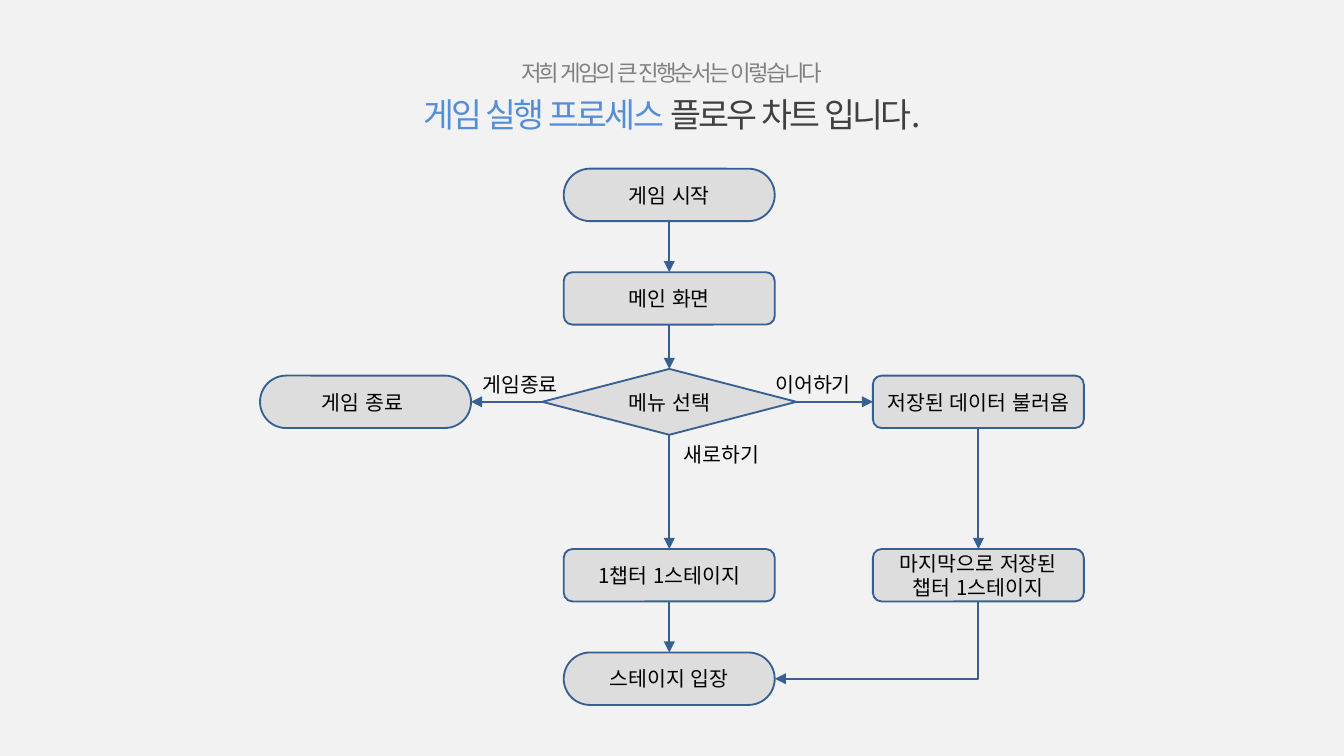
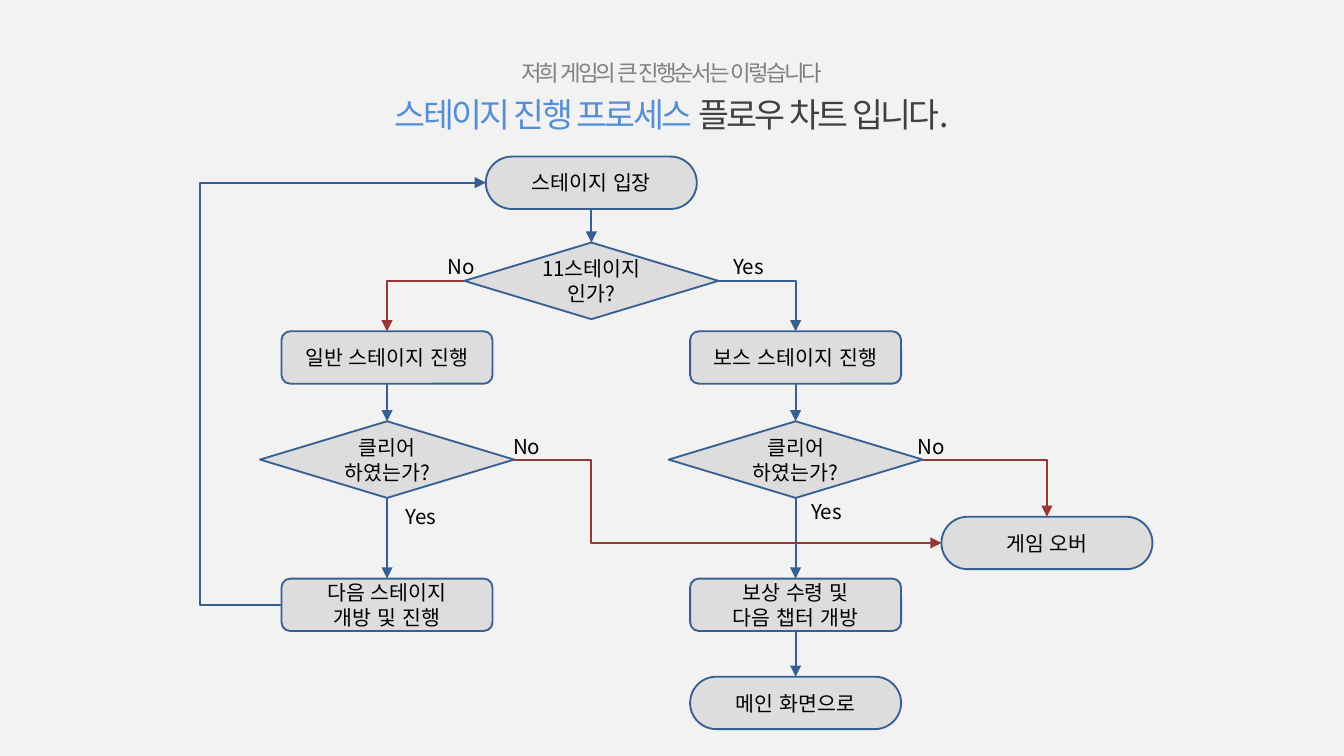
from lxml import etree
from pptx import Presentation
from pptx.dml.color import RGBColor
from pptx.enum.lang import MSO_LANGUAGE_ID
from pptx.enum.shapes import MSO_CONNECTOR, MSO_SHAPE
from pptx.enum.text import MSO_ANCHOR, MSO_AUTO_SIZE, PP_ALIGN
from pptx.oxml.ns import qn
from pptx.util import Inches, Pt

PILL = MSO_SHAPE.ROUNDED_RECTANGLE
STEP = MSO_SHAPE.FLOWCHART_ALTERNATE_PROCESS
TEST = MSO_SHAPE.FLOWCHART_DECISION
LINE = MSO_CONNECTOR.STRAIGHT
ELBOW = MSO_CONNECTOR.ELBOW
CENTER = PP_ALIGN.CENTER
MIDDLE = MSO_ANCHOR.MIDDLE
GROW = MSO_AUTO_SIZE.SHAPE_TO_FIT_TEXT
KOREAN = MSO_LANGUAGE_ID.KOREAN
TOP, LEFT, BOTTOM, RIGHT = range(4)

FONT = "Noto Sans CJK KR"
PAPER, GREY, BLACK = "F2F2F2", "BFBFBF", "000000"
BLUE, RED = "376092", "953735"
SOFT, SKY, DARK = "808080", "558ED5", "404040"


def paint(color, code):
    color.rgb = RGBColor.from_string(code)


def style(para, size, code):
    para.alignment = CENTER
    para.font.size = Pt(size)
    para.font.name = FONT
    para.font.language_id = KOREAN
    paint(para.font.color, code)
    props = para._p.pPr.find(qn("a:defRPr"))
    etree.SubElement(props, qn("a:ea"), typeface=FONT)
    return props


def place(x, y, wide, high):
    return [Inches(n) for n in (x - wide / 2, y - high / 2, wide, high)]


def add_title(slide, topic):
    box = slide.shapes.add_textbox(*place(5, 0.7, 9, 0.94))
    frame = box.text_frame
    frame.word_wrap = True
    frame.vertical_anchor = MIDDLE
    para = frame.paragraphs[0]
    para.line_spacing = 1.2
    style(para, 12, SOFT).set("spc", "-150")
    para.add_run().text = "저희 게임의 큰 진행순서는 이렇습니다"
    para.add_line_break()
    for text, code in ((topic + " ", SKY), ("플로우 차트 입니다.", DARK)):
        run = para.add_run()
        run.text = text
        run.font.size = Pt(18)
        paint(run.font.color, code)


def add_node(slide, kind, x, y, text, wide=1.57, high=0.39):
    node = slide.shapes.add_shape(kind, *place(x, y, wide, high))
    node.shadow.inherit = False
    if kind == PILL:
        node.adjustments[0] = 0.5
    node.fill.solid()
    paint(node.fill.fore_color, GREY)
    tint = node._element.spPr.find(qn("a:solidFill"))[0]
    etree.SubElement(tint, qn("a:alpha"), val="40000")
    paint(node.line.color, BLUE)
    node.line.width = Pt(1)
    frame = node.text_frame
    frame.margin_left = frame.margin_right = 0
    frame.margin_top = frame.margin_bottom = 0
    frame.vertical_anchor = MIDDLE
    frame.text = text
    for para in frame.paragraphs:
        style(para, 11, BLACK)
    return node


def add_test(slide, x, y, text, high=0.57):
    return add_node(slide, TEST, x, y, text, 1.89, high)


def add_label(slide, x, y, text):
    box = slide.shapes.add_textbox(*place(x, y, 1.1, 0.34))
    frame = box.text_frame
    frame.word_wrap = True
    frame.auto_size = GROW
    frame.text = text
    para = frame.paragraphs[0]
    para.line_spacing = 1.5
    style(para, 11, BLACK)


def add_link(slide, start, end, out=BOTTOM, into=TOP, code=BLUE, kind=LINE):
    link = slide.shapes.add_connector(kind, 0, 0, 0, 0)
    link.begin_connect(start, out)
    link.end_connect(end, into)
    paint(link.line.color, code)
    link.line.width = Pt(1)
    props = link._element.spPr
    etree.SubElement(props.find(qn("a:ln")), qn("a:tailEnd"), type="triangle")
    etree.SubElement(props, qn("a:effectLst"))
    return link


def add_bend(slide, start, end, out, into, code=BLUE, turn=None):
    link = add_link(slide, start, end, out, into, code, ELBOW)
    form = link._element.spPr.find(qn("a:prstGeom"))
    if turn is None:
        form.set("prst", "bentConnector2")
    else:
        guides = form.find(qn("a:avLst"))
        value = f"val {round(turn * 100000)}"
        etree.SubElement(guides, qn("a:gd"), name="adj1", fmla=value)
    return link


def rotate(link):
    wide, high = link.width, link.height
    link.left += (wide - high) // 2
    link.top += (high - wide) // 2
    link.width, link.height = high, wide
    frame = link._element.spPr.find(qn("a:xfrm"))
    frame.attrib.pop("flipH", None)
    frame.set("rot", "5400000")


def draw_game(slide):
    add_title(slide, "게임 실행 프로세스")
    mid, side = 4.98, 7.28
    first, gap = 1.45, 0.77
    menu_y = first + 2 * gap
    stage_y, enter_y = 4.28, 4.28 + gap

    start = add_node(slide, PILL, mid, first, "게임 시작")
    home = add_node(slide, STEP, mid, first + gap, "메인 화면")
    menu = add_test(slide, mid, menu_y, "메뉴 선택", 0.49)
    quit_ = add_node(slide, PILL, 2.72, menu_y, "게임 종료 ")
    load = add_node(slide, STEP, side, menu_y, "저장된 데이터 불러옴")
    stage = add_node(slide, STEP, mid, stage_y, "1챕터 1스테이지")
    saved = add_node(slide, STEP, side, stage_y,
                     "마지막으로 저장된\n챕터 1스테이지")
    enter = add_node(slide, PILL, mid, enter_y, "스테이지 입장")

    for a, b in ((start, home), (home, menu), (menu, stage),
                 (stage, enter), (load, saved)):
        add_link(slide, a, b)
    add_link(slide, menu, quit_, LEFT, RIGHT)
    add_link(slide, menu, load, RIGHT, LEFT)
    rotate(add_bend(slide, saved, enter, BOTTOM, RIGHT))

    for x, y, text in ((6.05, 2.8, "이어하기"), (3.87, 2.8, "게임종료"),
                       (5.37, 3.32, "새로하기")):
        add_label(slide, x, y, text)


def draw_stage(slide):
    add_title(slide, "스테이지 진행 프로세스")
    mid, gap = 4.4, 1.52
    west, east = mid - gap, mid + gap
    run_y, clear_y, next_y = 2.66, 3.42, 4.5

    enter = add_node(slide, PILL, mid, 1.36, "스테이지 입장")
    check = add_test(slide, mid, 2.09, "11스테이지\n인가?")
    plain = add_node(slide, STEP, west, run_y, "일반 스테이지 진행")
    boss = add_node(slide, STEP, east, run_y, "보스 스테이지 진행")
    clear, beat = [add_test(slide, x, clear_y, "클리어\n하였는가?")
                   for x in (west, east)]
    again = add_node(slide, STEP, west, next_y, "다음 스테이지\n개방 및 진행")
    prize = add_node(slide, STEP, east, next_y, "보상 수령 및\n다음 챕터 개방")
    home = add_node(slide, PILL, east, 5.23, "메인 화면으로")
    over = add_node(slide, PILL, 7.79, 4.04, "게임 오버")

    for a, b in ((enter, check), (plain, clear), (clear, again),
                 (boss, beat), (beat, prize), (prize, home)):
        add_link(slide, a, b)
    add_bend(slide, check, plain, LEFT, TOP, RED)
    add_bend(slide, check, boss, RIGHT, TOP)
    add_bend(slide, beat, over, RIGHT, TOP, RED)
    add_bend(slide, clear, over, RIGHT, LEFT, RED, 0.18)
    add_bend(slide, again, enter, LEFT, LEFT, BLUE, -0.4)

    for x, y, text in ((5.57, 1.92, "Yes"), (3.43, 1.92, "No"),
                       (6.15, 3.74, "Yes"), (3.13, 3.78, "Yes"),
                       (3.92, 3.26, "No"), (6.93, 3.26, "No")):
        add_label(slide, x, y, text)


def main():
    deck = Presentation()
    deck.slide_width = Inches(10)
    deck.slide_height = Inches(10 * 9 / 16)
    fill = deck.slide_master.background.fill
    fill.solid()
    paint(fill.fore_color, PAPER)
    for draw in (draw_game, draw_stage):
        draw(deck.slides.add_slide(deck.slide_layouts[6]))
    deck.save("out.pptx")


if __name__ == "__main__":
    main()
